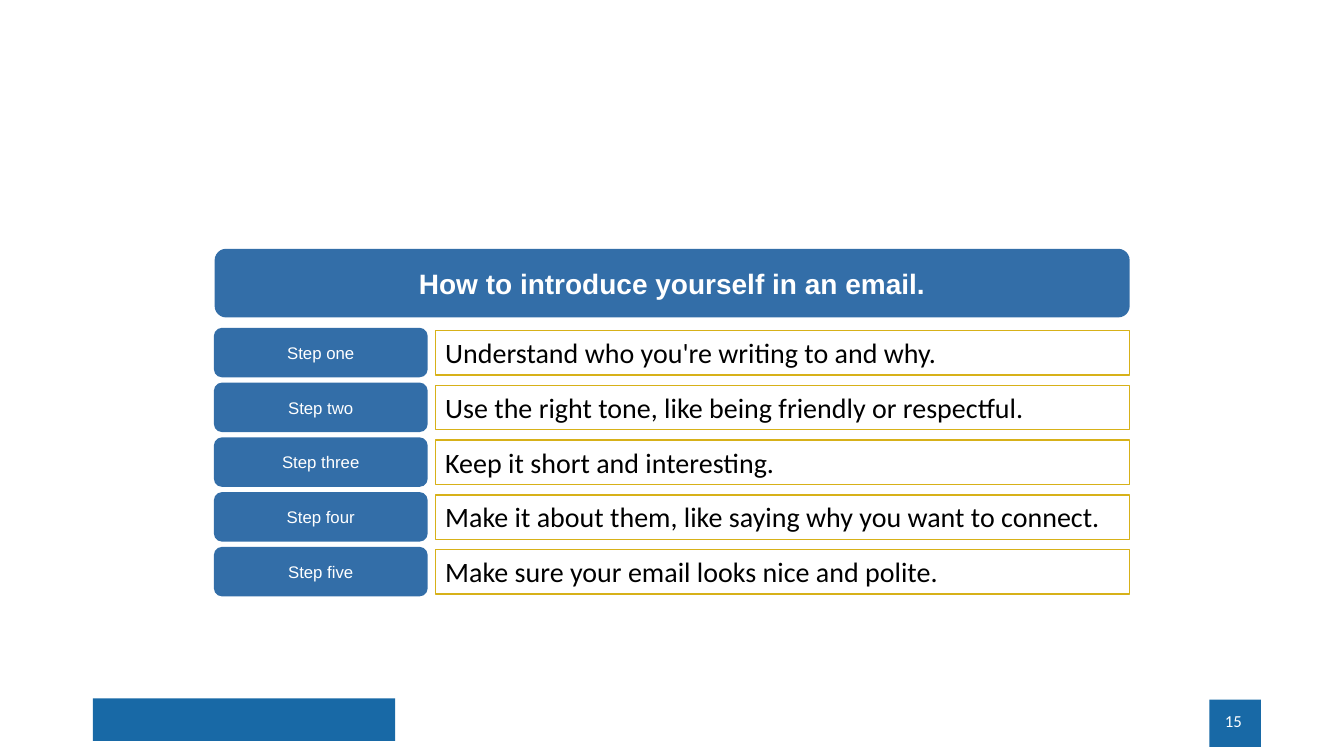
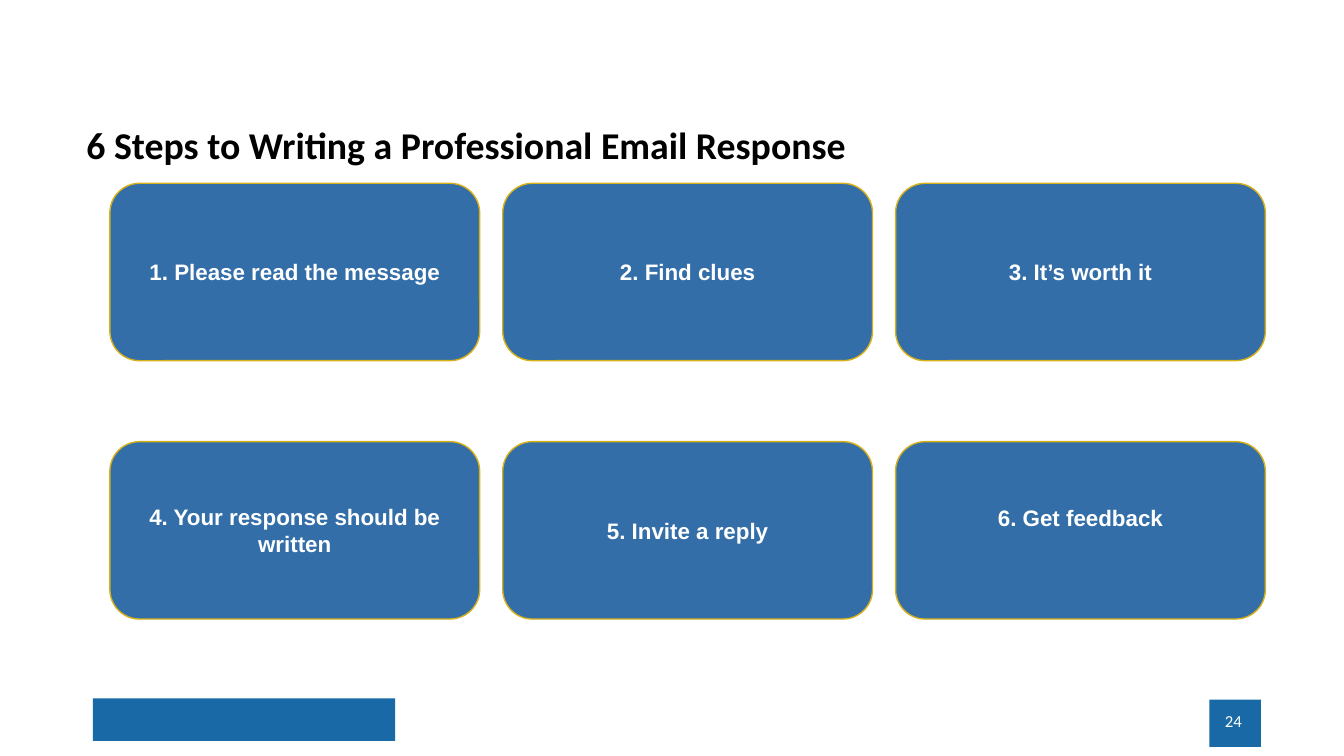
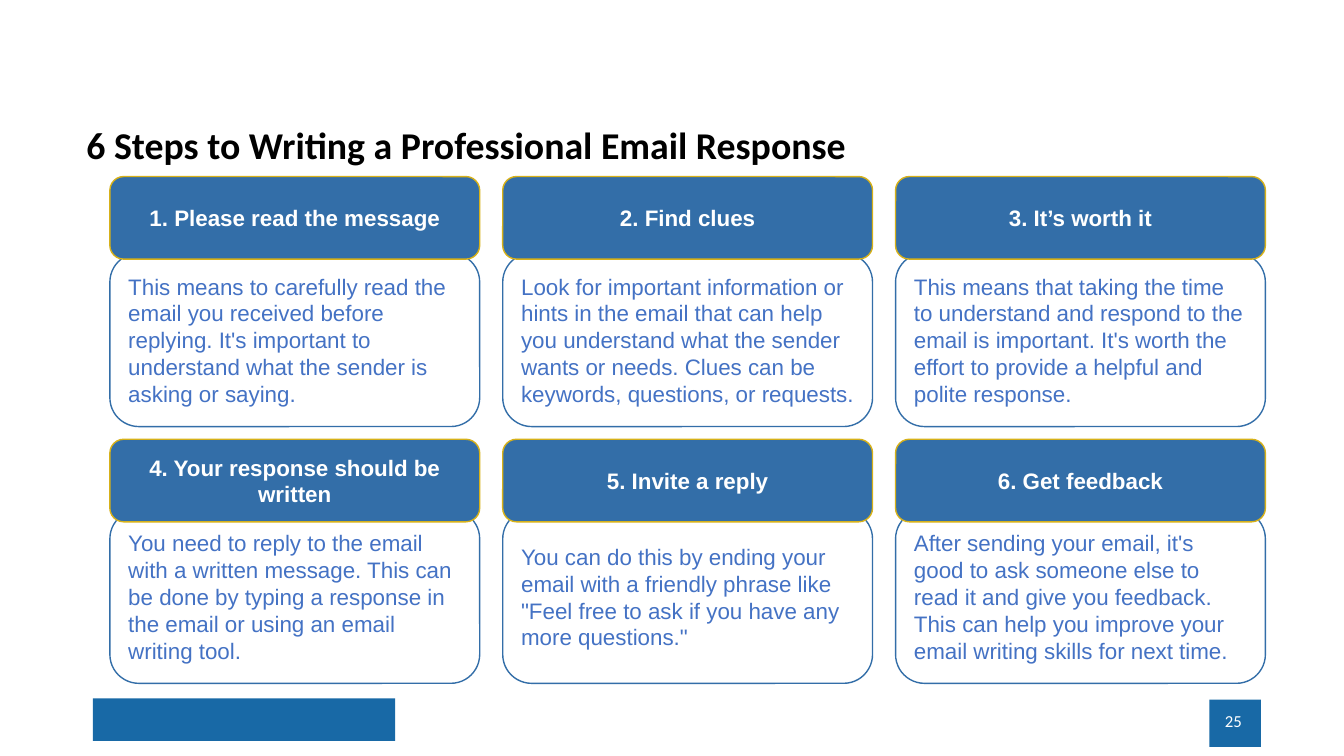
from dataclasses import dataclass
from typing import Optional

from pptx import Presentation
from pptx.dml.color import RGBColor
from pptx.enum import shapes, text
from pptx.util import Cm, Pt

FOOTER_BLUE = "1869A6"
BOX_BLUE = "336EA8"
TEXT_BLUE = "4472C4"
GOLD = "D7B119"
WHITE = "FFFFFF"
BLACK = "000000"

ROUNDED = shapes.MSO_SHAPE.ROUNDED_RECTANGLE
RECTANGLE = shapes.MSO_SHAPE.RECTANGLE
LEFT, CENTER, RIGHT = text.PP_ALIGN.LEFT, text.PP_ALIGN.CENTER, text.PP_ALIGN.RIGHT
TOP, MIDDLE = text.MSO_ANCHOR.TOP, text.MSO_ANCHOR.MIDDLE


@dataclass(frozen=True)
class Area:
    """Place and size in centimetres."""
    left: float
    top: float
    width: float
    height: float


@dataclass(frozen=True)
class Style:
    size: float = 16
    font: str = "Arial"
    color: str = WHITE
    bold: bool = False
    align: text.PP_ALIGN = CENTER
    anchor: text.MSO_ANCHOR = MIDDLE
    spacing: float = 1.0
    fill: Optional[str] = None
    line: Optional[str] = None
    preset: shapes.MSO_SHAPE = ROUNDED


@dataclass(frozen=True)
class Step:
    heading: str
    body: str


BAND = Style(fill=FOOTER_BLUE, preset=RECTANGLE)
PAGE_NUMBER = Style(12, "Calibri", align=RIGHT)
TITLE = Style(27, "Calibri", BLACK, True, LEFT, spacing=0.9)
BANNER = Style(20, bold=True, fill=BOX_BLUE)
STEP_LABEL = Style(12, fill=BOX_BLUE)
STEP_TEXT = Style(20, "Calibri", BLACK, align=LEFT, anchor=TOP, line=GOLD, preset=RECTANGLE)
CARD_HEADING = Style(bold=True, fill=BOX_BLUE, line=GOLD)
CARD_BODY = Style(color=TEXT_BLUE, align=LEFT, fill=WHITE, line=BOX_BLUE)

FOOTER_BANDS = (Area(2.34, 17.6, 7.62, 1.07), Area(30.48, 17.63, 1.3, 1.19))
COLUMNS = 3
CARD_LEFT, CARD_PITCH, CARD_WIDTH = 2.77, 9.9, 9.32

INTRODUCTION = (
    Step("Step one", "Understand who you're writing to and why."),
    Step("Step two", "Use the right tone, like being friendly or respectful."),
    Step("Step three", "Keep it short and interesting."),
    Step("Step four", "Make it about them, like saying why you want to connect."),
    Step("Step five", "Make sure your email looks nice and polite."),
)

RESPONSE = (
    Step("1. Please read the message",
         "This means to carefully read the email you received before replying. "
         "It's important to understand what the sender is asking or saying."),
    Step("2. Find clues",
         "Look for important information or hints in the email that can help you "
         "understand what the sender wants or needs. Clues can be keywords, "
         "questions, or requests."),
    Step("3. It’s worth it",
         "This means that taking the time to understand and respond to the email is "
         "important. It's worth the effort to provide a helpful and polite response."),
    Step("4. Your response should be written",
         "You need to reply to the email with a written message. This can be done by "
         "typing a response in the email or using an email writing tool."),
    Step("5. Invite a reply",
         "You can do this by ending your email with a friendly phrase like "
         "\"Feel free to ask if you have any more questions.\""),
    Step("6. Get feedback",
         "After sending your email, it's good to ask someone else to read it and give "
         "you feedback. This can help you improve your email writing skills for next time."),
)


def rgb(value: str) -> RGBColor:
    return RGBColor.from_string(value)


def write(shape, words: str, style: Style) -> None:
    frame = shape.text_frame
    frame.text = words
    paragraph = frame.paragraphs[0]
    formats = {
        frame: {"word_wrap": True, "vertical_anchor": style.anchor},
        paragraph: {"alignment": style.align, "line_spacing": style.spacing},
        paragraph.font: {"size": Pt(style.size), "name": style.font, "bold": style.bold},
    }
    for target, values in formats.items():
        for name, value in values.items():
            setattr(target, name, value)
    paragraph.font.color.rgb = rgb(style.color)


def add_box(slide, area: Area, style: Style, words: str = ""):
    """Draw a preset shape, with text when there are words."""
    shape = slide.shapes.add_shape(style.preset, Cm(area.left), Cm(area.top),
                                   Cm(area.width), Cm(area.height))
    shape.shadow.inherit = False
    if style.fill:
        shape.fill.solid()
        shape.fill.fore_color.rgb = rgb(style.fill)
    else:
        shape.fill.background()
    if style.line:
        shape.line.color.rgb = rgb(style.line)
        shape.line.width = Pt(1)
    else:
        shape.line.fill.background()
    if words:
        write(shape, words, style)
    return shape


def add_label(slide, area: Area, style: Style, words: str) -> None:
    """Draw a plain text box."""
    box = slide.shapes.add_textbox(Cm(area.left), Cm(area.top),
                                   Cm(area.width), Cm(area.height))
    write(box, words, style)


def add_slide(presentation, number: int, title: str = ""):
    """Add a blank slide with the footer bands, page number and title."""
    slide = presentation.slides.add_slide(presentation.slide_layouts[6])
    for area in FOOTER_BANDS:
        add_box(slide, area, BAND)
    add_label(slide, Area(23.93, 17.65, 7.62, 1.02), PAGE_NUMBER, str(number))
    if title:
        add_label(slide, Area(1.93, 3.18, 25.3, 1.04), TITLE, title)
    return slide


def add_cards(slide, words: list[str], style: Style, row_tops: tuple[float, float],
              height: float) -> list:
    """Fill a grid of three columns, row by row."""
    cards = []
    for index, card_words in enumerate(words):
        row, column = divmod(index, COLUMNS)
        area = Area(CARD_LEFT + column * CARD_PITCH, row_tops[row], CARD_WIDTH, height)
        cards.append(add_box(slide, area, style, card_words))
    return cards


def build_introduction(presentation) -> None:
    slide = add_slide(presentation, 15)
    add_box(slide, Area(5.41, 6.27, 23.06, 1.73), BANNER,
            "How to introduce yourself in an email.")
    for index, step in enumerate(INTRODUCTION):
        offset = index * 1.38
        add_box(slide, Area(5.39, 8.26 + offset, 5.39, 1.25), STEP_LABEL, step.heading)
        add_box(slide, Area(10.97, 8.33 + offset, 17.5, 1.12), STEP_TEXT, step.body)


def build_response(presentation) -> None:
    title = "6 Steps to Writing a Professional Email Response"
    headings = [step.heading for step in RESPONSE]
    bodies = [step.body for step in RESPONSE]

    overview = add_slide(presentation, 24, title)
    cards = add_cards(overview, headings, CARD_HEADING, (4.62, 11.13), 4.47)
    cards[-1].text_frame.margin_bottom = Cm(0.76)

    details = add_slide(presentation, 25, title)
    add_cards(details, bodies, CARD_BODY, (6.38, 12.85), 4.37)
    add_cards(details, headings, CARD_HEADING, (4.45, 11.07), 2.08)


def main() -> None:
    presentation = Presentation()
    presentation.slide_width, presentation.slide_height = Cm(33.87), Cm(19.05)
    build_introduction(presentation)
    build_response(presentation)
    presentation.save("out.pptx")


if __name__ == "__main__":
    main()
